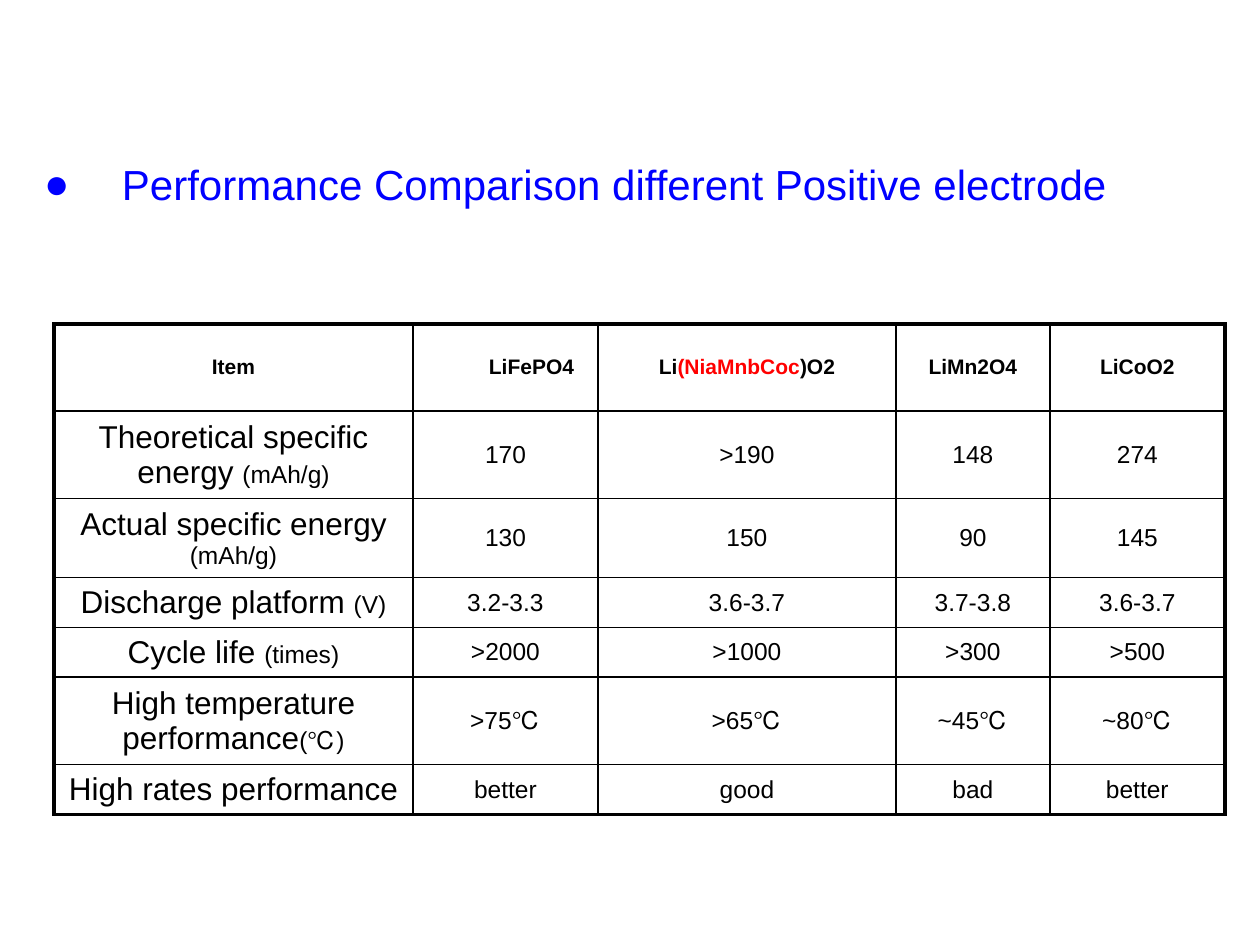
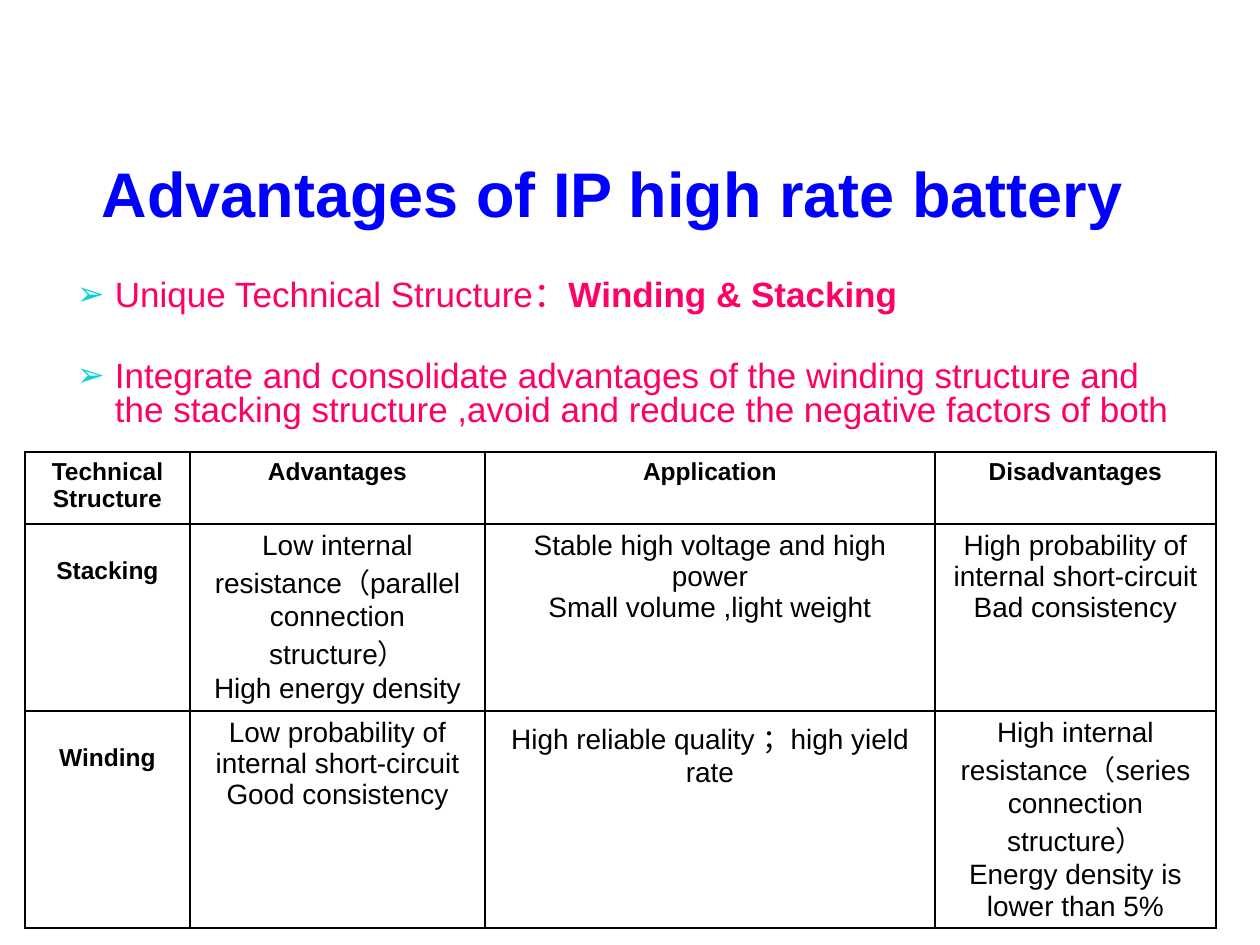
from lxml.etree import SubElement
from pptx import Presentation
from pptx.dml.color import RGBColor as RGB
from pptx.enum.text import MSO_ANCHOR as ANCHOR, PP_ALIGN as ALIGN
from pptx.oxml.ns import qn
from pptx.util import Pt

PX = 914400 / 126
FONT = "Arial"
COLORS = {
    "black": "000000",
    "title": "0000FF",
    "highlight": "FF0000",
    "point": "FF0066",
    "bullet": "0BD0D9",
}


def write(tf, paras, size=14, color="black", bold=False, align=ALIGN.LEFT,
          anchor=ANCHOR.TOP, margins=(13, 6, 13, 6), indent=0, hanging=0,
          bullet=None, bullet_color=None, bullet_pct=100, line=None, gaps=()):
    """Fill a text frame or table cell; a paragraph is a string or (text, format) runs."""
    box = tf
    if hasattr(tf, "text_frame"):
        tf = box.text_frame
    else:
        tf.word_wrap = True
    box.vertical_anchor = anchor
    for side, px in zip(("left", "top", "right", "bottom"), margins):
        setattr(box, f"margin_{side}", round(px * PX))
    for i, runs in enumerate([paras] if isinstance(paras, str) else paras):
        p = tf.paragraphs[0] if i == 0 else tf.add_paragraph()
        p.alignment = align
        if line:
            p.line_spacing = line
        if gaps:
            p.space_before = Pt(gaps[i])
        pPr = p._p.get_or_add_pPr()
        if indent:
            pPr.set("marL", str(round(indent * PX)))
            pPr.set("indent", str(round(-hanging * PX)))
        if bullet:
            clr = SubElement(pPr, qn("a:buClr"))
            SubElement(clr, qn("a:srgbClr"), val=COLORS[bullet_color or color])
            SubElement(pPr, qn("a:buSzPct"), val=str(bullet_pct * 1000))
            SubElement(pPr, qn("a:buFont"), typeface=FONT)
            SubElement(pPr, qn("a:buChar"), char=bullet)
        for text, fmt in [(runs, {})] if isinstance(runs, str) else runs:
            r = p.add_run()
            r.text = text
            r.font.name = FONT
            r.font.size = Pt(fmt.get("size", size))
            r.font.bold = fmt.get("bold", bold)
            r.font.color.rgb = RGB.from_string(COLORS[fmt.get("color", color)])


def add_grid(slide, left, top, widths, heights, outer=1):
    """Add an unfilled table with 1 pt inner lines and an outer frame of the given width."""
    n_rows, n_cols = len(heights), len(widths)
    box = [round(v * PX) for v in (left, top, sum(widths), sum(heights))]
    tbl = slide.shapes.add_table(n_rows, n_cols, *box).table
    tbl.first_row = tbl.horz_banding = False
    for col, w in zip(tbl.columns, widths):
        col.width = round(w * PX)
    for row, h in zip(tbl.rows, heights):
        row.height = round(h * PX)
    for i in range(n_rows):
        for j in range(n_cols):
            cell = tbl.cell(i, j)
            tcPr = cell._tc.get_or_add_tcPr()
            edges = {"lnL": j == 0, "lnR": j == n_cols - 1,
                     "lnT": i == 0, "lnB": i == n_rows - 1}
            for tag, is_outer in edges.items():
                ln = SubElement(tcPr, qn(f"a:{tag}"), w=str(Pt(outer if is_outer else 1)))
                fill = SubElement(ln, qn("a:solidFill"))
                SubElement(fill, qn("a:srgbClr"), val=COLORS["black"])
            cell.fill.background()
    return tbl


prs = Presentation()
prs.slide_width, prs.slide_height = round(1260 * PX), round(945 * PX)
blank = prs.slide_layouts[6]

# Slide 1: positive electrode comparison
s = prs.slides.add_slide(blank)
sp = s.shapes.add_textbox(*[round(v * PX) for v in (44, 145, 1191, 64)])
write(sp.text_frame, "Performance Comparison different Positive electrode", size=24,
      color="title", anchor=ANCHOR.BOTTOM, margins=(0, 6, 0, 0),
      indent=78, hanging=78, bullet="●")

materials = [
    "Item",
    "LiFePO4",
    [[("Li", {}), ("(NiaMnbCoc", {"color": "highlight"}), (")O2", {})]],
    "LiMn2O4",
    "LiCoO2",
]
properties = [
    ("Theoretical specific energy ", "(mAh/g)", "170", ">190", "148", "274"),
    ("Actual specific energy ", "(mAh/g)", "130", "150", "90", "145"),
    ("Discharge platform ", "(V)", "3.2-3.3", "3.6-3.7", "3.7-3.8", "3.6-3.7"),
    ("Cycle life ", "(times)", ">2000", ">1000", ">300", ">500"),
    ("High temperature performance", "(℃)", ">75℃", ">65℃", "~45℃", "~80℃"),
    ("High rates performance", "", "better", "good", "bad", "better"),
]
tbl = add_grid(s, 54, 324, (359, 185, 298, 154, 175),
               (87, 83, 76, 48, 48, 83, 48), outer=2.25)
for j, material in enumerate(materials):
    shifted = material == "LiFePO4"
    write(tbl.cell(0, j), material, size=12, bold=True, anchor=ANCHOR.MIDDLE,
          align=ALIGN.LEFT if shifted else ALIGN.CENTER, indent=63 if shifted else 0)
for i, (name, unit, *values) in enumerate(properties, 1):
    label = [(name, {"size": 18})] + ([(unit, {})] if unit else [])
    for j, content in enumerate([[label], *values]):
        write(tbl.cell(i, j), content, align=ALIGN.CENTER, anchor=ANCHOR.MIDDLE)

# Slide 2: battery structure
s = prs.slides.add_slide(blank)
sp = s.shapes.add_textbox(*[round(v * PX) for v in (89, 137, 1106, 99)])
write(sp.text_frame, "Advantages of IP high rate battery", size=36, color="title",
      bold=True, anchor=ANCHOR.BOTTOM)

points = [
    [("Unique Technical Structure：", {}), ("Winding & Stacking", {"bold": True})],
    "Integrate and consolidate advantages of the winding structure and "
    "the stacking structure ,avoid and reduce the negative factors of both",
]
sp = s.shapes.add_textbox(*[round(v * PX) for v in (64, 275, 1134, 519)])
write(sp.text_frame, points, size=20, color="point", indent=38, hanging=38,
      bullet="➢", bullet_color="bullet", bullet_pct=95, line=0.8, gaps=(4, 27))

headings = ["Technical Structure", "Advantages", "Application", "Disadvantages"]
structures = [
    ("Stacking",
     ["Low internal resistance（parallel connection structure）", "High energy density"],
     ["Stable high voltage and high power", "Small volume ,light weight"],
     ["High probability of internal short-circuit", "Bad consistency"]),
    ("Winding",
     "Low probability of internal short-circuit Good consistency",
     "High reliable quality ；high yield rate",
     ["High internal resistance（series connection structure）",
      "Energy density is lower than 5%"]),
]
tbl = add_grid(s, 25, 452, (165, 295, 450, 281), (72, 187, 217))
for j, heading in enumerate(headings):
    write(tbl.cell(0, j), heading, bold=True, align=ALIGN.CENTER)
for i, (name, *details) in enumerate(structures, 1):
    write(tbl.cell(i, 0), name, bold=True, align=ALIGN.CENTER, margins=(13, 33, 13, 6))
    for j, detail in enumerate(details, 1):
        write(tbl.cell(i, j), detail, size=16, align=ALIGN.CENTER)

prs.save("out.pptx")
